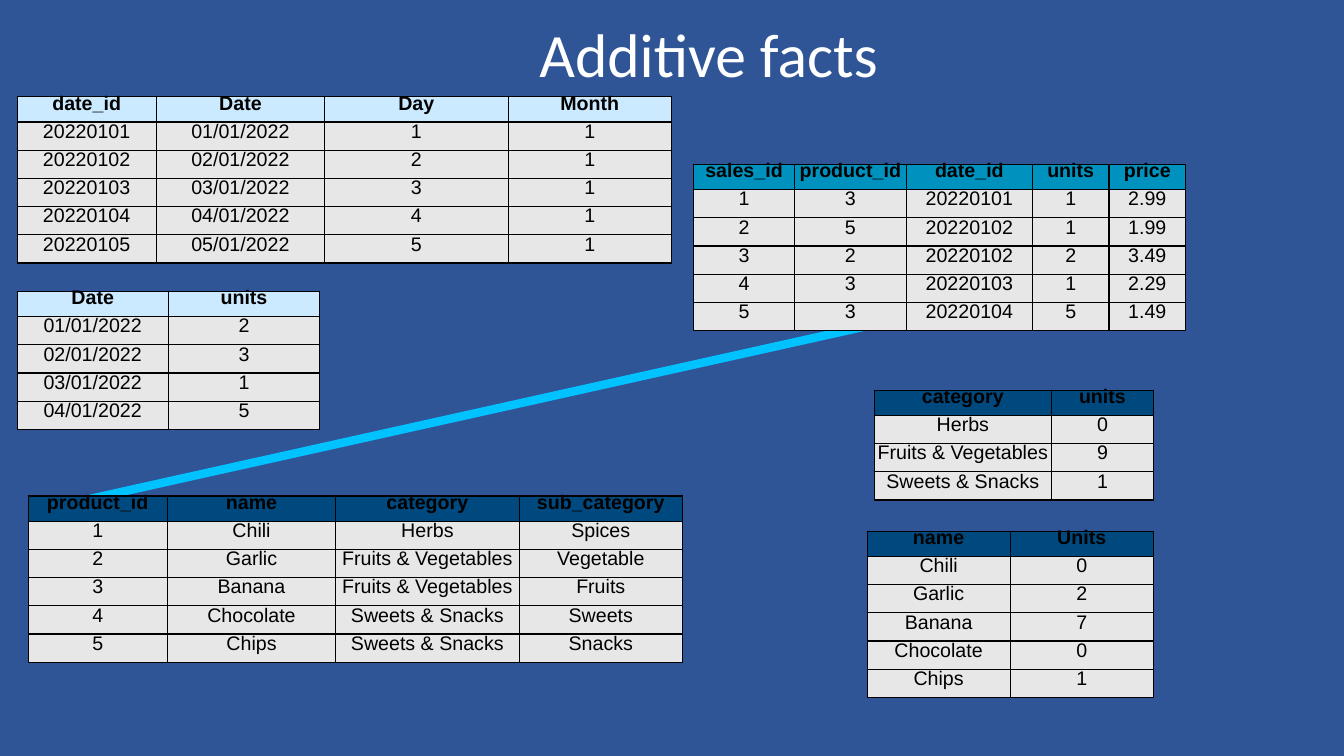
"""Build the additive facts slide with its fact, dimension and summary tables."""
import dataclasses

import lxml.etree
import pptx
import pptx.dml.color
import pptx.enum.shapes
import pptx.enum.text
import pptx.oxml
import pptx.oxml.ns
import pptx.util
from pptx.util import Inches


@dataclasses.dataclass(frozen=True)
class Theme:
    background: str = "2F5597"
    title: str = "FFFFFF"
    text: str = "000000"
    link: str = "00C2FF"
    sales: str = "0092BE"
    product: str = "00497E"
    date: str = "CCEAFF"
    body: str = "E7E7E7"
    title_font: str = "Calibri"
    table_font: str = "Arial"
    title_size: int = 44
    table_size: int = 14
    line_spacing: float = 11.8
    link_width: int = 6
    border_width: int = 1


THEME = Theme()
HEADER_HEIGHT, ROW_HEIGHT = 0.25, 0.28

TABLES = [
    (6.88, 1.63, THEME.sales, [1, 1.11, 1.25, 0.76, 0.76], [
        ["sales_id", "product_id", "date_id", "units", "price"],
        ["1", "3", "20220101", "1", "2.99"],
        ["2", "5", "20220102", "1", "1.99"],
        ["3", "2", "20220102", "2", "3.49"],
        ["4", "3", "20220103", "1", "2.29"],
        ["5", "3", "20220104", "5", "1.49"],
    ]),
    (0.28, 4.92, THEME.product, [1.38, 1.67, 1.82, 1.62], [
        ["product_id", "name", "category", "sub_category"],
        ["1", "Chili", "Herbs", "Spices"],
        ["2", "Garlic", "Fruits & Vegetables", "Vegetable"],
        ["3", "Banana", "Fruits & Vegetables", "Fruits"],
        ["4", "Chocolate", "Sweets & Snacks", "Sweets"],
        ["5", "Chips", "Sweets & Snacks", "Snacks"],
    ]),
    (8.67, 3.87, THEME.product, [1.76, 1.01], [
        ["category", "units"],
        ["Herbs", "0"],
        ["Fruits & Vegetables", "9"],
        ["Sweets & Snacks", "1"],
    ]),
    (8.6, 5.27, THEME.product, [1.42, 1.42], [
        ["name", "Units"],
        ["Chili", "0"],
        ["Garlic", "2"],
        ["Banana", "7"],
        ["Chocolate", "0"],
        ["Chips", "1"],
    ]),
    (0.17, 0.96, THEME.date, [1.38, 1.67, 1.82, 1.62], [
        ["date_id", "Date", "Day", "Month"],
        *[[f"2022010{day}", f"0{day}/01/2022", str(day), "1"] for day in range(1, 6)],
    ]),
    (0.17, 2.89, THEME.date, [1.5, 1.5], [
        ["Date", "units"],
        ["01/01/2022", "2"],
        ["02/01/2022", "3"],
        ["03/01/2022", "1"],
        ["04/01/2022", "5"],
    ]),
]


def color(value):
    return pptx.dml.color.RGBColor.from_string(value)


def style_font(font, name, size, value, bold=False):
    font.name = name
    font.size = pptx.util.Pt(size)
    font.color.rgb = color(value)
    font.bold = bold


def add_title(slide, text):
    title = slide.shapes.title
    title.left, title.top = Inches(5.35), Inches(0.13)
    title.width, title.height = Inches(4.06), Inches(0.76)
    frame = title.text_frame
    frame.text = text
    frame.word_wrap = True
    frame.auto_size = pptx.enum.text.MSO_AUTO_SIZE.SHAPE_TO_FIT_TEXT
    frame.vertical_anchor = pptx.enum.text.MSO_ANCHOR.MIDDLE
    frame.margin_left = frame.margin_right = frame.margin_bottom = 0
    frame.margin_top = Inches(0.02)
    paragraph = frame.paragraphs[0]
    paragraph.alignment = pptx.enum.text.PP_ALIGN.LEFT
    style_font(paragraph.runs[0].font, THEME.title_font, THEME.title_size, THEME.title)


def add_link(slide, start, end):
    points = [Inches(length) for length in (*start, *end)]
    link = slide.shapes.add_connector(pptx.enum.shapes.MSO_CONNECTOR.STRAIGHT, *points)
    link.line.color.rgb = color(THEME.link)
    link.line.width = pptx.util.Pt(THEME.link_width)
    properties = link._element.spPr
    lxml.etree.SubElement(properties, pptx.oxml.ns.qn("a:effectLst"))


def add_borders(cell):
    properties = cell._tc.get_or_add_tcPr()
    width = pptx.util.Pt(THEME.border_width)
    for side in "LRTB":
        properties.append(pptx.oxml.parse_xml(
            f'<a:ln{side} {pptx.oxml.ns.nsdecls("a")} w="{width}"><a:solidFill>'
            f'<a:srgbClr val="{THEME.text}"/></a:solidFill></a:ln{side}>'))


def fill_cell(cell, text, fill, is_header):
    cell.text_frame.text = text
    cell.margin_left = cell.margin_right = cell.margin_bottom = 0
    cell.margin_top = Inches(0.01 if is_header else 0.04)
    add_borders(cell)
    cell.fill.solid()
    cell.fill.fore_color.rgb = color(fill)
    paragraph = cell.text_frame.paragraphs[0]
    paragraph.alignment = pptx.enum.text.PP_ALIGN.CENTER
    paragraph.line_spacing = pptx.util.Pt(THEME.line_spacing)
    style_font(paragraph.runs[0].font, THEME.table_font, THEME.table_size,
               THEME.text, is_header)


def add_data_table(slide, left, top, header_fill, widths, rows):
    height = HEADER_HEIGHT + ROW_HEIGHT * (len(rows) - 1)
    table = slide.shapes.add_table(
        len(rows), len(widths), Inches(left), Inches(top),
        Inches(sum(widths)), Inches(height)).table
    table.horz_banding = False
    for column, width in zip(table.columns, widths):
        column.width = Inches(width)
    for index, values in enumerate(rows):
        is_header = index == 0
        table.rows[index].height = Inches(HEADER_HEIGHT if is_header else ROW_HEIGHT)
        fill = header_fill if is_header else THEME.body
        for cell, text in zip(table.rows[index].cells, values):
            fill_cell(cell, text, fill, is_header)


def main():
    deck = pptx.Presentation()
    deck.slide_width, deck.slide_height = Inches(13.33), Inches(7.5)
    slide = deck.slides.add_slide(deck.slide_layouts.get_by_name("Title Only"))
    slide.background.fill.solid()
    slide.background.fill.fore_color.rgb = color(THEME.background)
    add_title(slide, "Additive facts")
    add_link(slide, (8.67, 3.22), (0.89, 4.95))
    for table in TABLES:
        add_data_table(slide, *table)
    deck.save("out.pptx")


if __name__ == "__main__":
    main()
